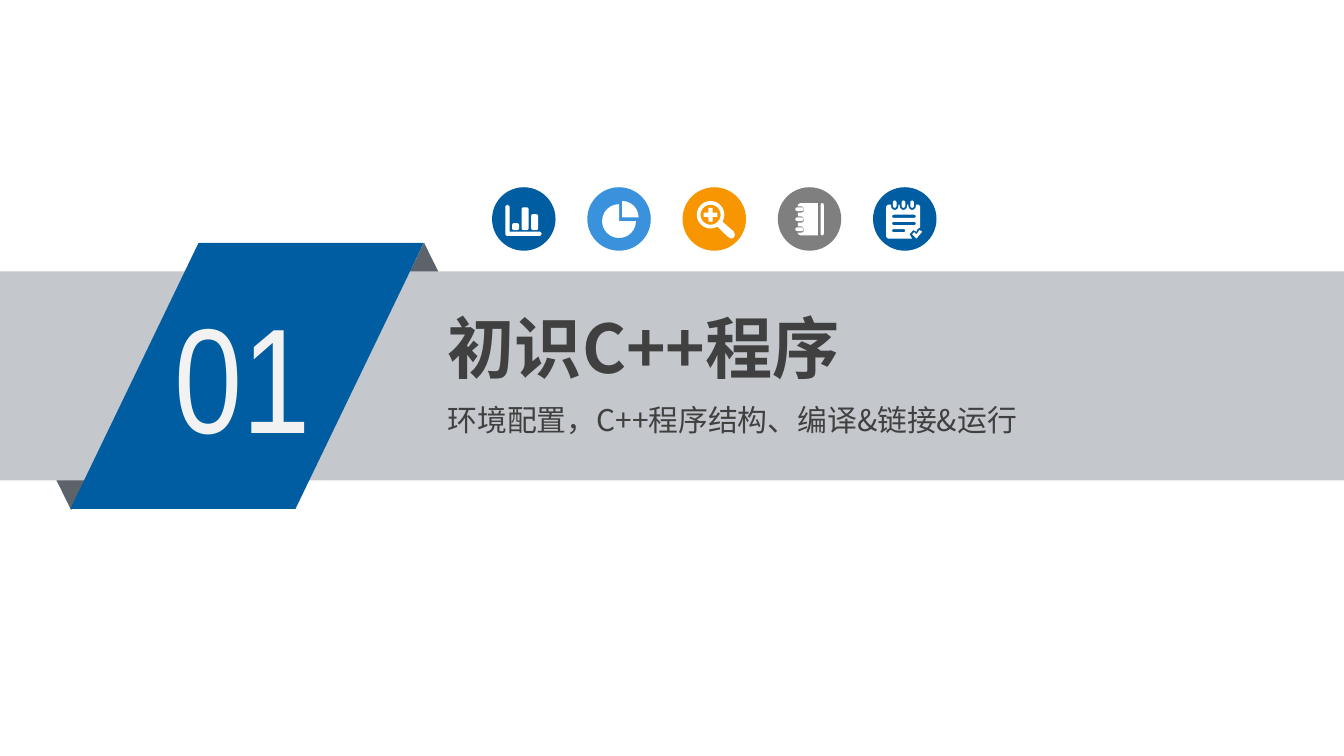
import math
from pptx import Presentation
from pptx.dml.color import RGBColor
from pptx.enum import shapes, text
from pptx.util import Cm, Pt

BLUE, SKY, ORANGE, GRAY = "005DA2", "3992DB", "F79600", "7F7F7F"
WHITE, BAND, FOLD, INK = "FFFFFF", "C4C7CB", "5D636A", "404040"
PRESET = shapes.MSO_SHAPE
CJK = "Noto Sans CJK SC"
ICON_LEFT, ICON_TOP, ICON_SIZE, ICON_STEP = 9.3, 3.54, 1.2, 1.8


def color(value):
    return RGBColor.from_string(value)


def paint(shape, fill):
    shape.shadow.inherit = False
    shape.fill.solid()
    shape.fill.fore_color.rgb = color(fill)
    shape.line.fill.background()


def add_figure(page, preset, bounds, fill, adjust=None, turn=0):
    shape = page.shapes.add_shape(preset, *map(Cm, bounds))
    paint(shape, fill)
    if adjust is not None:
        shape.adjustments[0] = adjust
    shape.rotation = turn


def arc(x, y, radius, start, end, steps):
    angles = [math.radians(start + (end - start) * i / steps) for i in range(steps + 1)]
    return [(x + radius * math.cos(a), y + radius * math.sin(a)) for a in angles]


def pill(left, top, width, height, radius=None):
    radius = radius or min(width, height) / 2
    right, bottom = left + width - radius, top + height - radius
    left, top = left + radius, top + radius
    corners = [(right, bottom), (left, bottom), (left, top), (right, top)]
    return [point for index, (x, y) in enumerate(corners)
            for point in arc(x, y, radius, 90 * index, 90 * index + 90, 2)]


def add_glyph(page, left, contours):
    builder = None
    for contour in contours:
        start, *rest = [(Cm(left + x), Cm(ICON_TOP + y)) for x, y in contour]
        if builder is None:
            builder = page.shapes.build_freeform(*start)
        else:
            builder.move_to(*start)
        builder.add_line_segments(rest, close=True)
    paint(builder.convert_to_shape(), WHITE)


def chart_contours():
    axes = [(0.25, 0.36), (0.29, 0.33), (0.33, 0.36), (0.33, 0.84),
            (0.91, 0.84), (0.94, 0.88), (0.91, 0.92), (0.28, 0.92), (0.25, 0.89)]
    bars = [(0.38, 0.13), (0.56, 0.43), (0.74, 0.3)]
    return [axes] + [pill(left, 0.81 - height, 0.13, height, 0.03) for left, height in bars]


def pie_contours():
    return [[(0.66, 0.57)] + arc(0.66, 0.57, 0.31, -90, 0, 6),
            [(0.6, 0.64)] + arc(0.6, 0.64, 0.32, 0, 270, 18)]


def magnifier_contours():
    x, y, reach, half = 0.53, 0.52, 0.13, 0.04
    handle = [(0.97, 0.84), (0.99, 0.9), (0.97, 0.95), (0.91, 0.97), (0.86, 0.94)]
    lens = arc(x, y, 0.26, 60, 390, 22)
    plus = [(half, half), (half, reach), (-half, reach), (-half, half),
            (-reach, half), (-reach, -half), (-half, -half), (-half, -reach),
            (half, -reach), (half, -half), (reach, -half), (reach, half)]
    return [lens + handle, arc(x, y, 0.19, 0, 345, 23),
            [(x + across, y + down) for across, down in plus]]


def notebook_contours():
    rows = [0.42 + 0.19 * row for row in range(3)]
    sheet = [(0.42, 0.3), (0.76, 0.3), (0.76, 0.91), (0.42, 0.91), (0.38, 0.88)]
    for y in reversed(rows):
        sheet += [(0.38, y + 0.06)] + arc(0.44, y, 0.06, 90, -90, 6) + [(0.38, y - 0.06)]
    sheet.append((0.38, 0.33))
    return [pill(0.81, 0.3, 0.06, 0.61), sheet] + [
        pill(0.33, y - 0.04, 0.16, 0.07) for y in rows]


def checklist_contours():
    rings = [0.41 + 0.165 * column for column in range(3)]
    sheet = [(0.25, 0.36), (0.28, 0.33)]
    for x in rings:
        sheet += [(x - 0.07, 0.33)] + arc(x, 0.36, 0.07, 180, 0, 6) + [(x + 0.07, 0.33)]
    sheet += [(0.86, 0.33), (0.89, 0.36), (0.89, 0.76), (0.84, 0.79), (0.82, 0.84),
              (0.76, 0.81), (0.69, 0.89), (0.74, 0.97), (0.28, 0.97), (0.25, 0.94)]
    check = [(0.74, 0.89), (0.78, 0.85), (0.82, 0.89),
             (0.88, 0.81), (0.93, 0.84), (0.82, 0.97)]
    lines = [pill(0.36, 0.52 + 0.135 * row, width, 0.06)
             for row, width in enumerate([0.45, 0.45, 0.25])]
    return [check, sheet] + lines + [pill(x - 0.035, 0.25, 0.07, 0.14) for x in rings]


def write(box, content, size, font, ink, bold=False):
    frame = box.text_frame
    frame.word_wrap = True
    frame.auto_size = text.MSO_AUTO_SIZE.SHAPE_TO_FIT_TEXT
    frame.vertical_anchor = text.MSO_ANCHOR.TOP
    frame.margin_left = frame.margin_right = Cm(0.19)
    frame.margin_top = frame.margin_bottom = Cm(0.1)
    para = frame.paragraphs[0]
    para.alignment = text.PP_ALIGN.LEFT
    para.space_before = Pt(0)
    span = para.add_run()
    span.text = content
    span.font.size = Pt(size)
    span.font.name = font
    span.font.bold = bold
    span.font.color.rgb = color(ink)
    if font == CJK:
        latin = span.font._element.find("{*}latin")
        latin.addnext(latin.makeelement(latin.tag.replace("latin", "ea"), {"typeface": font}))


def add_banner(page):
    add_figure(page, PRESET.ISOSCELES_TRIANGLE, (6.87, 4.59, 2.29, 2.31), FOLD)
    add_figure(page, PRESET.ISOSCELES_TRIANGLE, (0.2, 7.33, 2.29, 2.31), FOLD, turn=180)
    add_figure(page, PRESET.RECTANGLE, (0, 5.13, 25.4, 3.95), BAND)
    add_figure(page, PRESET.PARALLELOGRAM, (1.33, 4.59, 6.68, 5.03), BLUE, 0.482)


def add_texts(page, title):
    number = page.shapes.add_textbox(Cm(3.1), Cm(5.28), Cm(3.68), Cm(3.61))
    write(number, "01", 80, "Arial Narrow", "F2F2F2")
    title.left, title.top, title.width, title.height = map(Cm, (8.27, 5.69, 14.02, 1.73))
    write(title, "初识C++程序", 36, CJK, INK, bold=True)
    page.shapes._spTree.append(title._element)
    topics = page.shapes.add_textbox(Cm(8.27), Cm(7.49), Cm(11.63), Cm(0.89))
    write(topics, "环境配置，C++程序结构、编译&链接&运行", 16, CJK, INK)


def add_icons(page):
    icons = [(4, BLUE, checklist_contours), (2, ORANGE, magnifier_contours),
             (3, GRAY, notebook_contours), (0, BLUE, chart_contours),
             (1, SKY, pie_contours)]
    for column, fill, contours in icons:
        left = ICON_LEFT + ICON_STEP * column
        add_figure(page, PRESET.OVAL, (left, ICON_TOP, ICON_SIZE, ICON_SIZE), fill)
        add_glyph(page, left, contours())


def main():
    deck = Presentation()
    deck.slide_width, deck.slide_height = Cm(25.4), Cm(14.29)
    page = deck.slides.add_slide(deck.slide_layouts[5])
    add_banner(page)
    add_texts(page, page.shapes.title)
    add_icons(page)
    deck.save("out.pptx")


if __name__ == "__main__":
    main()
